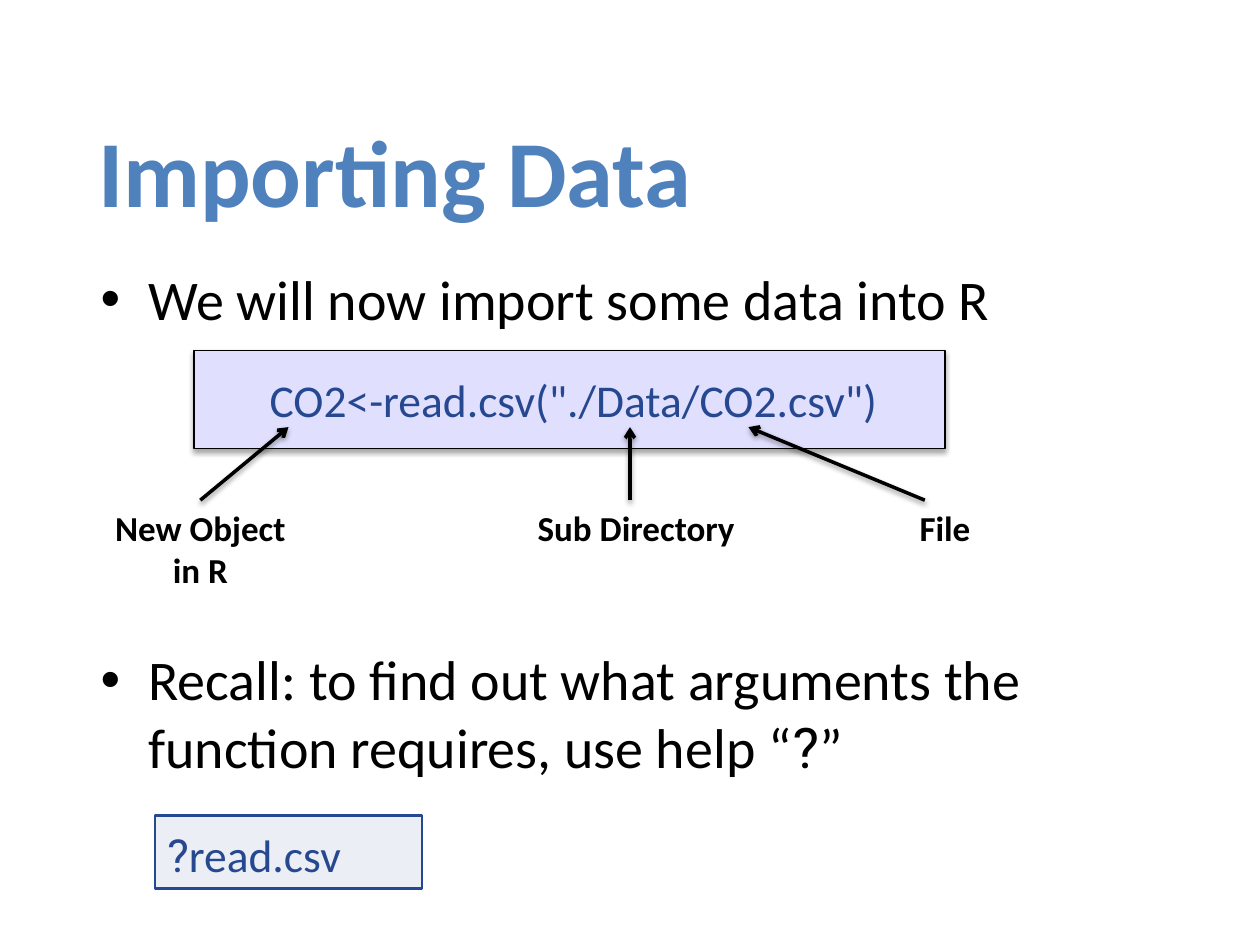
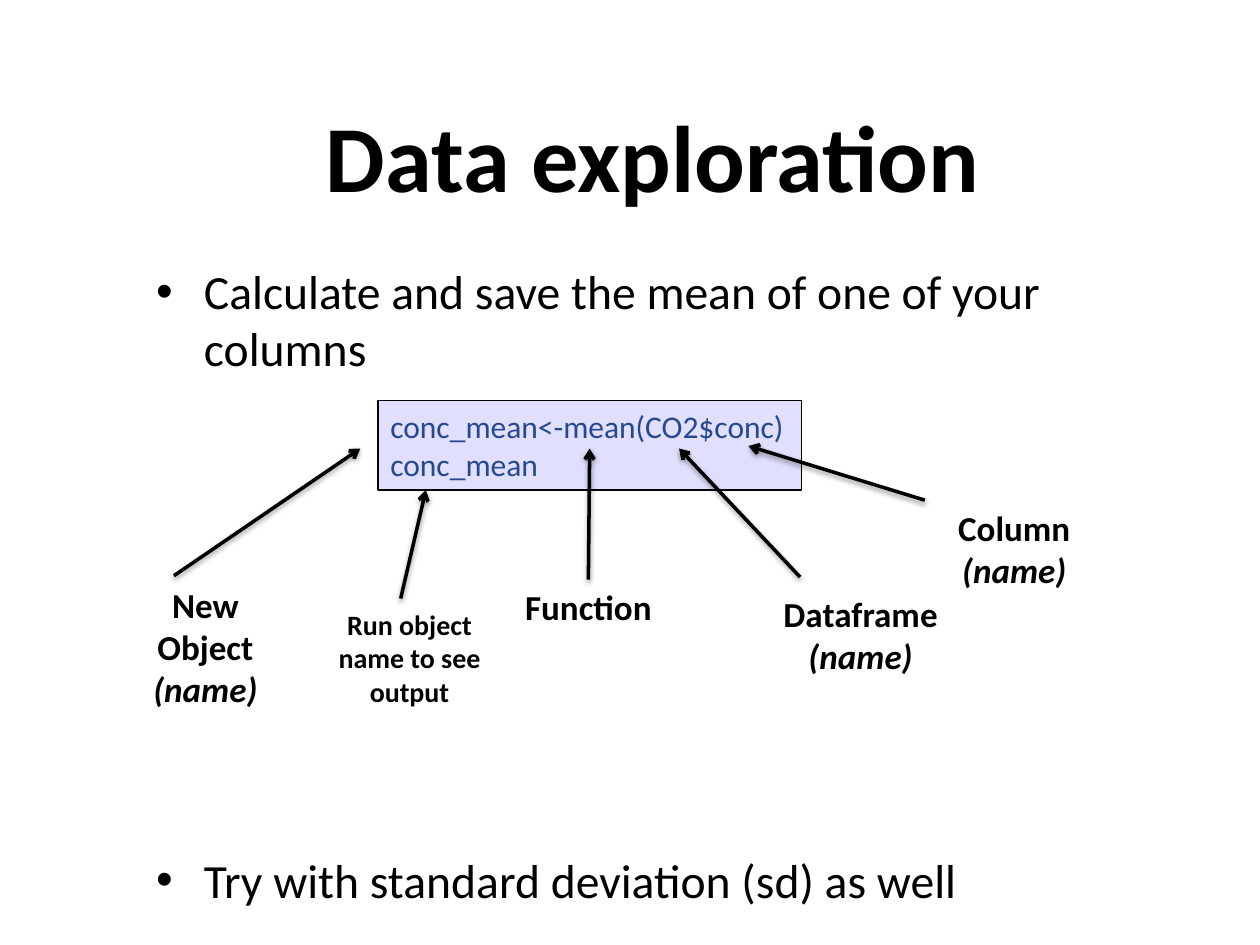
from lxml.etree import SubElement
from pptx import Presentation
from pptx.dml.color import RGBColor
from pptx.enum.shapes import MSO_CONNECTOR, MSO_SHAPE
from pptx.enum.text import MSO_ANCHOR as Anchor, MSO_AUTO_SIZE as AutoSize, PP_ALIGN as Align
from pptx.oxml.ns import qn
from pptx.util import Emu, Inches, Pt

BLACK = RGBColor(0x00, 0x00, 0x00)
TITLE_BLUE = RGBColor(0x4F, 0x81, 0xBD)
CODE_BLUE = RGBColor(0x26, 0x48, 0x90)
LAVENDER = RGBColor(0xE0, 0xDF, 0xFD)
FONT, MARK_FONT = "Calibri", "Roboto"
TITLE_PLACE = (0.68, 0.6, 9, 1.25)
HANGING = Inches(0.38)
LABEL_TOP = 3.97

SLIDES = [
    dict(
        title="Importing Data", title_look=(TITLE_BLUE, Align.LEFT, Anchor.BOTTOM),
        bullets=["We will now import some data into R",
                 [("Recall: to find out what arguments the function requires, use help “", FONT),
                  ("?", MARK_FONT), ("”", FONT)]],
        bullet_place=(0.7, 2.05, 9, 5.28), bullet_size=32, bullet_gap=179,
        codes=[
            dict(lines=['CO2<-read.csv("./Data/CO2.csv")'], place=(1.54, 2.78, 5.96, 0.78),
                 size=26, indent=0.6, anchor=Anchor.MIDDLE, shadow=True),
            dict(lines=[[("?", MARK_FONT), ("read.csv", FONT)]], place=(1.23, 6.47, 2.12, 0.58),
                 size=26, fill=CODE_BLUE, opacity=9, border=(CODE_BLUE, 1.5), spacing=1.1),
        ],
        labels=[
            (["New Object in R"], (0.7, LABEL_TOP, 1.78, 0.77), 20, None, (2.29, 3.39)),
            (["Sub Directory"], (4.16, LABEL_TOP, 1.78, 0.77), 20, (5, LABEL_TOP), (5, 3.39)),
            (["File"], (6.61, LABEL_TOP, 1.78, 0.44), 20, (7.34, LABEL_TOP), (5.94, 3.39)),
        ],
    ),
    dict(
        title="Data exploration", title_look=(BLACK, Align.CENTER, Anchor.MIDDLE),
        bullets=["Calculate and save the mean of one of your columns",
                 "Try with standard deviation (sd) as well"],
        bullet_place=(1.14, 2.03, 7.41, 4.75), bullet_size=27.2, bullet_gap=271,
        codes=[dict(lines=["conc_mean<-mean(CO2$conc)", "conc_mean"],
                    place=(3, 3.18, 3.36, 0.71), size=18, wrap=False)],
        labels=[
            (["New Object", "(name)"], (0.92, 4.58, 1.42, 1.11), 20, (1.38, 4.57), (2.86, 3.56)),
            (["Run object name to see output"], (2.54, 4.77, 1.42, 1.21), 16, (3.18, 4.75), (3.38, 3.89)),
            (["Function"], (3.96, 4.6, 1.42, 0.44), 20, None, (4.68, 3.56)),
            (["Dataframe", "(name)"], (5.94, 4.65, 1.78, 0.77), 20, (6.35, 4.58), (5.39, 3.56)),
            (["Column", "(name)"], (7.16, LABEL_TOP, 1.78, 0.77), 20, (7.34, LABEL_TOP), (5.94, 3.54)),
        ],
    ),
]


def inches(lengths):
    return [Inches(length) for length in lengths]


def style(font, size, color, bold=None):
    font.name, font.size, font.bold = FONT, Pt(size), bold
    font.color.rgb = color


def write_lines(frame, lines, size, color, bold=None):
    for number, line in enumerate(lines):
        paragraph = frame.paragraphs[0] if number == 0 else frame.add_paragraph()
        if isinstance(line, str):
            paragraph.text = line
            style(paragraph.font, size, color, bold)
        else:
            for text, face in line:
                run = paragraph.add_run()
                run.text = text
                style(run.font, size, color, bold)
                run.font.name = face
    return frame.paragraphs


def cast_shadow(properties, opacity, distance):
    effects = properties.find(qn("a:effectLst"))
    if effects is None:
        effects = SubElement(properties, qn("a:effectLst"))
    shadow = SubElement(effects, qn("a:outerShdw"), blurRad=str(Pt(3.1)), dist=str(Pt(distance)),
                        dir="5400000", rotWithShape="0")
    black = SubElement(shadow, qn("a:srgbClr"), val=str(BLACK))
    SubElement(black, qn("a:alpha"), val=str(opacity * 1000))


def add_title(slide, text, color, align, anchor):
    title = slide.shapes.title
    title.left, title.top, title.width, title.height = inches(TITLE_PLACE)
    frame = title.text_frame
    frame.auto_size, frame.vertical_anchor = AutoSize.NONE, anchor
    write_lines(frame, [text], 54, color, True)[0].alignment = align


def add_bullets(slide, bullets, place, size, gap):
    frame = slide.shapes.add_textbox(*inches(place)).text_frame
    frame.word_wrap = True
    for number, paragraph in enumerate(write_lines(frame, bullets, size, BLACK)):
        properties = paragraph._p.get_or_add_pPr()
        properties.set("marL", str(HANGING))
        properties.set("indent", str(-HANGING))
        if number:
            paragraph.space_before = Pt(gap)
        bullet_font = SubElement(properties, qn("a:buFont"), typeface="Arial")
        bullet = SubElement(properties, qn("a:buChar"), char="•")
        defaults = properties.find(qn("a:defRPr"))
        if defaults is not None:
            defaults.addprevious(bullet_font)
            defaults.addprevious(bullet)


def add_code(slide, lines, place, size, fill=LAVENDER, opacity=100, border=(BLACK, 0.75),
             indent=0.1, anchor=Anchor.TOP, spacing=1, wrap=True, shadow=False):
    box = slide.shapes.add_shape(MSO_SHAPE.RECTANGLE, *inches(place))
    box.fill.solid()
    box.fill.fore_color.rgb = fill
    if opacity < 100:
        tint = box._element.spPr.find(qn("a:solidFill"))[0]
        SubElement(tint, qn("a:alpha"), val=str(opacity * 1000))
    box.line.color.rgb, box.line.width = border[0], Pt(border[1])
    box.shadow.inherit = False
    if shadow:
        cast_shadow(box._element.spPr, 35, 1.8)
    frame = box.text_frame
    frame.word_wrap, frame.vertical_anchor = wrap, anchor
    frame.margin_left = Inches(indent)
    for paragraph in write_lines(frame, lines, size, CODE_BLUE):
        paragraph.alignment, paragraph.line_spacing = Align.LEFT, spacing


def add_label(slide, lines, place, size, start, target):
    label = slide.shapes.add_textbox(*inches(place))
    label.text_frame.word_wrap = True
    for paragraph in write_lines(label.text_frame, lines, size, BLACK, True):
        paragraph.alignment = Align.CENTER
        if paragraph.text == "(name)":
            paragraph.font.italic = True
    begin = inches(start) if start else (Emu(label.left + label.width // 2), label.top)
    arrow = slide.shapes.add_connector(MSO_CONNECTOR.STRAIGHT, *begin, *inches(target))
    if not start:
        arrow.begin_connect(label, 0)
    arrow.line.color.rgb, arrow.line.width = BLACK, Pt(2)
    SubElement(arrow.line._get_or_add_ln(), qn("a:tailEnd"), type="arrow")
    cast_shadow(arrow._element.spPr, 38, 1.6)


def main():
    deck = Presentation()
    deck.slide_width, deck.slide_height = Inches(10), Inches(7.5)
    for content in SLIDES:
        slide = deck.slides.add_slide(deck.slide_layouts[5])
        add_title(slide, content["title"], *content["title_look"])
        add_bullets(slide, content["bullets"], content["bullet_place"],
                    content["bullet_size"], content["bullet_gap"])
        for code in content["codes"]:
            add_code(slide, **code)
        for label in content["labels"]:
            add_label(slide, *label)
    deck.save("out.pptx")


if __name__ == "__main__":
    main()
